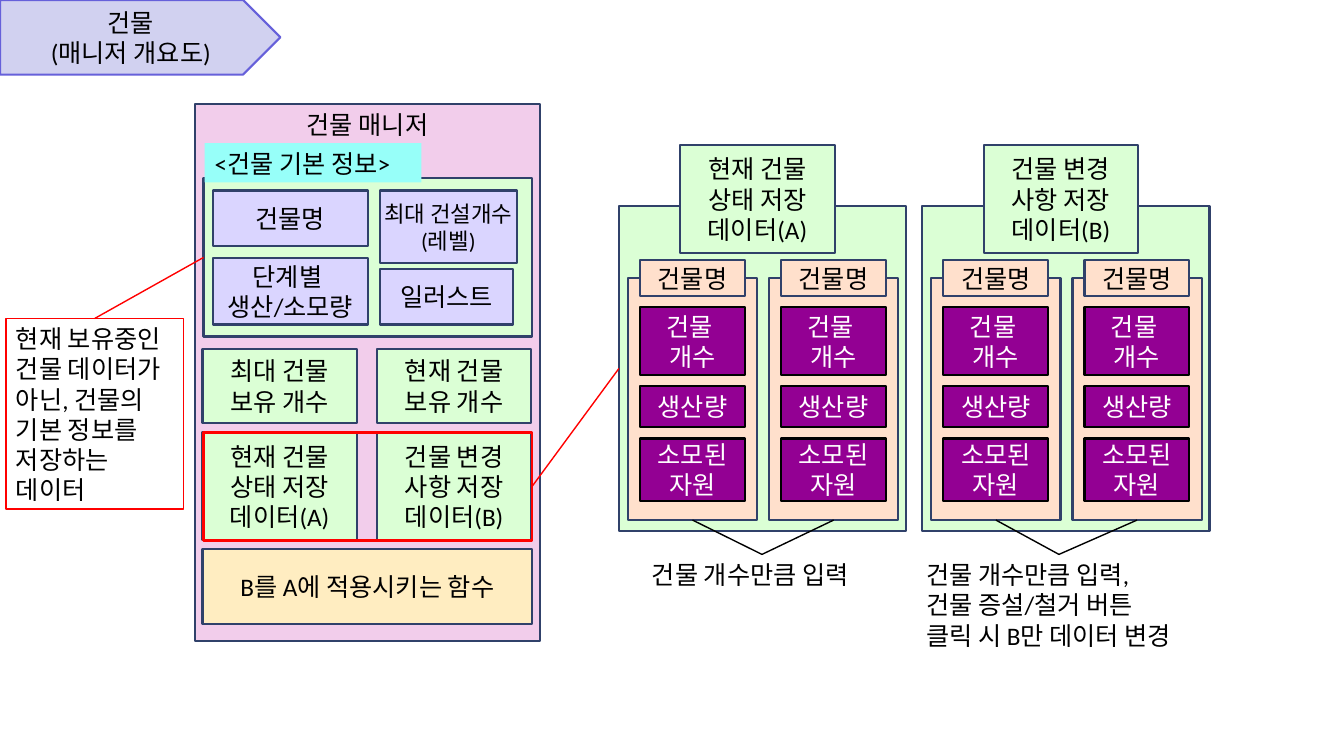
from lxml import etree
from pptx import Presentation
from pptx.dml.color import RGBColor
from pptx.enum import shapes, text
from pptx.oxml import ns
from pptx.util import Pt

NAVY = RGBColor(0x30, 0x41, 0x6A)
PINK = RGBColor(0xF2, 0xCD, 0xEB)
GREEN = RGBColor(0xDB, 0xFF, 0xD5)
LILAC = RGBColor(0xDA, 0xD5, 0xFF)
CYAN = RGBColor(0x97, 0xFF, 0xF9)
CREAM = RGBColor(0xFF, 0xED, 0xC1)
PEACH = RGBColor(0xFF, 0xE0, 0xCC)
PURPLE = RGBColor(0x93, 0x00, 0x93)
TITLE_FILL = RGBColor(0xD1, 0xD1, 0xF0)
TITLE_LINE = RGBColor(0x66, 0x60, 0xDA)
RED = RGBColor(0xFF, 0x00, 0x00)
BLACK = RGBColor(0x00, 0x00, 0x00)
WHITE = RGBColor(0xFF, 0xFF, 0xFF)
TOP, LEFT, BOTTOM, RIGHT = range(4)

deck = Presentation()
deck.slide_width, deck.slide_height = Pt(960), Pt(540)
page = deck.slides.add_slide(deck.slide_layouts[6])


def add_box(place, fill, line=NAVY, words="", color=BLACK, width=1.5, centred=True,
            anchor=text.MSO_ANCHOR.MIDDLE, kind=shapes.MSO_SHAPE.RECTANGLE,
            size=18, tight=False):
    box = page.shapes.add_shape(kind, *[Pt(value) for value in place])
    box.shadow.inherit = False
    if fill is None:
        box.fill.background()
    else:
        box.fill.solid()
        box.fill.fore_color.rgb = fill
    if line is None:
        box.line.fill.background()
    else:
        box.line.color.rgb = line
        box.line.width = Pt(width)
    frame = box.text_frame
    frame.word_wrap = True
    frame.vertical_anchor = anchor
    if tight:
        frame.margin_left = frame.margin_right = 0
        frame.margin_top = frame.margin_bottom = 0
    if words:
        frame.text = words
    for para in frame.paragraphs:
        para.alignment = text.PP_ALIGN.CENTER if centred else text.PP_ALIGN.LEFT
        para.font.size = Pt(size)
        para.font.name = "Calibri"
        para.font.color.rgb = color
    return box


def join(start, start_side, end, end_side, color):
    link = page.shapes.add_connector(shapes.MSO_CONNECTOR.STRAIGHT, 0, 0, 0, 0)
    link.begin_connect(start, start_side)
    link.end_connect(end, end_side)
    link.line.color.rgb = color
    link.line.width = Pt(1)
    etree.SubElement(link._element.spPr, ns.qn("a:effectLst"))


# Title
add_box((0, 0, 200.2, 53.3), TITLE_FILL, TITLE_LINE, "건물\n(매니저 개요도)",
        kind=shapes.MSO_SHAPE.PENTAGON)

# Building manager with its basic information
STATE_LABEL = "현재 건물 상태 저장 데이터(A)"
CHANGE_LABEL = "건물 변경\n사항 저장 데이터(B)"
add_box((139, 74.2, 247, 383.8), PINK, words="건물 매니저", anchor=text.MSO_ANCHOR.TOP)
basic_info = add_box((145.4, 127.4, 234.7, 113), GREEN)
for place, words, size, tight in [
    ((151.9, 136.1, 110.9, 39.6), "건물명", 18, False),
    ((271.4, 136.1, 97.9, 51.8), "최대 건설개수 (레벨)", 16, True),
    ((271.4, 192.2, 95, 39.6), "일러스트", 18, False),
    ((151.9, 184.3, 110.9, 47.5), "단계별 \n생산/소모량", 18, True),
]:
    add_box(place, LILAC, words=words, size=size, tight=tight)
add_box((146.2, 102.2, 154.8, 28.1), CYAN, None, "<건물 기본 정보>", centred=False,
        anchor=text.MSO_ANCHOR.TOP)

# Manager data and function
for top, height, labels in [
    (249.1, 53.3, ("최대 건물\n보유 개수", "현재 건물 보유 개수")),
    (308.9, 77, (STATE_LABEL, CHANGE_LABEL)),
]:
    for column, words in enumerate(labels):
        add_box((144.7 + column * 124.6, top, 110.2, height), GREEN, words=words)
add_box((144.7, 392.4, 235.4, 53.3), CREAM, words="B를 A에 적용시키는 함수")
red_frame = add_box((145.4, 308.9, 234.7, 77), None, RED, width=2)

# Stored data A and B, each with two building cards and a caption
panels = []
for left, heading, caption_place, caption in [
    (442.1, STATE_LABEL, (458.6, 396, 171.4, 28.8), "건물 개수만큼 입력"),
    (658.8, CHANGE_LABEL, (654.5, 396, 203.8, 71.3),
     "건물 개수만큼 입력,\n건물 증설/철거 버튼\n클릭 시 B만 데이터 변경"),
]:
    panels.append(add_box((left, 146.9, 205.2, 232.6), GREEN))
    add_box((left + 43.9, 103.7, 110.2, 77), GREEN, words=heading)
    note = add_box(caption_place, None, None, caption, centred=False,
                   anchor=text.MSO_ANCHOR.TOP)
    for card_left in (left + 6.5, left + 107.3):
        card = add_box((card_left, 198.7, 92.2, 172.8), PEACH)
        add_box((card_left + 8.6, 185.8, 74.9, 25.9), PEACH, words="건물명")
        for top, height, words in [
            (219.6, 48.2, "건물 \n개수"),
            (275.8, 29.5, "생산량"),
            (313.2, 44.6, "소모된\n자원"),
        ]:
            add_box((card_left + 8.6, top, 74.9, height), PURPLE, BLACK, words, WHITE)
        join(card, BOTTOM, note, TOP, BLACK)

# Red remarks
join(red_frame, RIGHT, panels[0], LEFT, RED)
remark = add_box((4.3, 227.5, 126.7, 136.1), None, RED,
                 "현재 보유중인 건물 데이터가 아닌, 건물의 기본 정보를 저장하는\n데이터",
                 width=1, centred=False, anchor=text.MSO_ANCHOR.TOP)
join(remark, TOP, basic_info, LEFT, RED)

deck.save("out.pptx")
